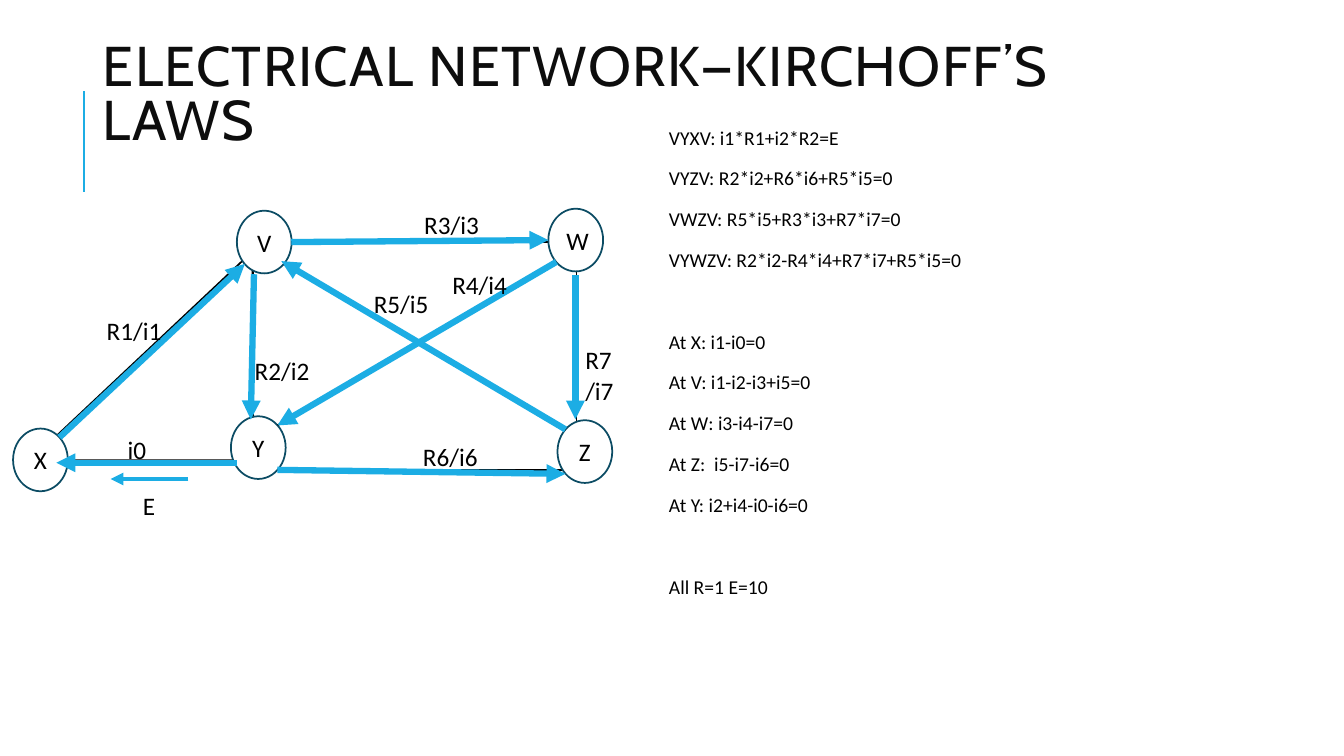
from typing import NamedTuple

from lxml.etree import SubElement
from pptx import Presentation
from pptx.dml.color import RGBColor
from pptx.enum.shapes import MSO_CONNECTOR, MSO_SHAPE
from pptx.enum.text import MSO_ANCHOR, PP_ALIGN
from pptx.oxml.ns import qn
from pptx.util import Cm, Pt

BLACK = RGBColor(0x00, 0x00, 0x00)
WHITE = RGBColor(0xFF, 0xFF, 0xFF)
TITLE_INK = RGBColor(0x0D, 0x0D, 0x0D)
ACCENT = RGBColor(0x1C, 0xAD, 0xE4)
NODE_EDGE = RGBColor(0x0C, 0x4C, 0x64)

TITLE_FONT, BODY_FONT = "Cabin", "Calibri"
NODE_W, NODE_H = 1.38, 1.58
THIN = 1.25
EQUATION_PITCH = 29.2


class Box(NamedTuple):
    """Position and size in centimetres."""
    x: float
    y: float
    w: float
    h: float = 1.02


class Node(NamedTuple):
    name: str
    x: float
    y: float


class Label(NamedTuple):
    text: str
    box: Box


class Line(NamedTuple):
    """Start and end in centimetres, width in points."""
    x1: float
    y1: float
    x2: float
    y2: float
    width: float = 4.5
    color: RGBColor = ACCENT
    arrow: bool = True


NODES = [
    Node("W", 13.82, 5.26),
    Node("Y", 5.82, 10.49),
    Node("Z", 14.05, 10.59),
    Node("X", 0.33, 10.8),
    Node("V", 5.97, 5.31),
]
DIAGONALS = [
    Line(7.14, 6.65, 14.25, 10.82, THIN, BLACK, False),
    Line(6.99, 10.72, 14.02, 6.6, THIN, BLACK, False),
]
LABELS = [
    Label("R3/i3", Box(10.44, 5.16, 2.39)),
    Label("R2/i2", Box(6.17, 8.84, 1.98)),
    Label("R1/i1", Box(2.44, 7.82, 2.24)),
    Label("R6/i6", Box(10.41, 11, 2.41)),
    Label("R7/i7", Box(14.5, 8.56, 1.37, 1.8)),
    Label("R4/i4", Box(11.15, 6.65, 2.21)),
    Label("R5/i5", Box(9.17, 7.14, 1.96)),
    Label("E", Box(3.35, 12.22, 1.27)),
    Label("i0", Box(2.97, 10.82, 1.98)),
]
CURRENTS = [
    Line(4.75, 12.07, 2.79, 12.07, 3),
    Line(7.34, 6.1, 13.82, 6.05),
    Line(14.5, 6.93, 14.5, 10.57),
    Line(6.4, 6.91, 6.32, 10.57),
    Line(6.99, 11.84, 14.25, 11.94),
    Line(14.25, 10.82, 7.09, 6.58),
    Line(14.02, 6.6, 6.99, 10.72),
    Line(5.97, 11.66, 1.42, 11.66),
    Line(1.5, 11.02, 6.17, 6.65),
]
EQUATION_GROUPS = [
    [
        "VYXV: i1*R1+i2*R2=E",
        "VYZV: R2*i2+R6*i6+R5*i5=0",
        "VWZV: R5*i5+R3*i3+R7*i7=0",
        "VYWZV: R2*i2-R4*i4+R7*i7+R5*i5=0",
    ],
    [
        "At X: i1-i0=0",
        "At V: i1-i2-i3+i5=0",
        "At W: i3-i4-i7=0",
        "At Z:  i5-i7-i6=0",
        "At Y: i2+i4-i0-i6=0",
    ],
    ["All R=1 E=10"],
]


def write(p, text: str, size: float, font: str = BODY_FONT, color: RGBColor = BLACK):
    """Fill a paragraph and return its run."""
    p.text = text
    r = p.runs[0]
    r.font.size, r.font.name = Pt(size), font
    r.font.color.rgb = color
    return r


def add_outline(slide, kind, box: Box, edge: RGBColor, filled: bool = True):
    sp = slide.shapes.add_shape(kind, *map(Cm, box))
    sp.shadow.inherit = False
    if filled:
        sp.fill.solid()
        sp.fill.fore_color.rgb = WHITE
    else:
        sp.fill.background()
    sp.line.color.rgb = edge
    sp.line.width = Pt(THIN)
    return sp


def add_node(slide, node: Node) -> None:
    sp = add_outline(slide, MSO_SHAPE.OVAL, Box(node.x, node.y, NODE_W, NODE_H), NODE_EDGE)
    tf = sp.text_frame
    tf.vertical_anchor = MSO_ANCHOR.MIDDLE
    p = tf.paragraphs[0]
    p.alignment = PP_ALIGN.CENTER
    write(p, node.name, 18)


def add_line(slide, line: Line) -> None:
    ends = map(Cm, (line.x1, line.y1, line.x2, line.y2))
    cxn = slide.shapes.add_connector(MSO_CONNECTOR.STRAIGHT, *ends)
    cxn.line.color.rgb = line.color
    cxn.line.width = Pt(line.width)
    if line.arrow:
        SubElement(cxn.line._get_or_add_ln(), qn("a:tailEnd"), type="triangle")
    SubElement(cxn._element.spPr, qn("a:effectLst"))


def add_text_frame(slide, box: Box):
    tf = slide.shapes.add_textbox(*map(Cm, box)).text_frame
    tf.word_wrap = True
    return tf


def add_label(slide, label: Label) -> None:
    write(add_text_frame(slide, label.box).paragraphs[0], label.text, 18)


def add_equations(slide) -> None:
    tf = add_text_frame(slide, Box(16.48, 3.1, 17.15, 13.54))
    tf.margin_left = Cm(0.38)
    tf.margin_top = tf.margin_right = tf.margin_bottom = Cm(0.13)
    for g, group in enumerate(EQUATION_GROUPS):
        for i, equation in enumerate(group):
            p = tf.paragraphs[0] if g == i == 0 else tf.add_paragraph()
            starts_later_group = g > 0 and i == 0
            p.space_before = Pt(12 + EQUATION_PITCH * starts_later_group)
            p.space_after = Pt(2)
            p.line_spacing = 0.9
            write(p, equation, 14)


def add_title(slide) -> None:
    tf = add_text_frame(slide, Box(2.34, 0.36, 27, 4.17))
    tf.vertical_anchor = MSO_ANCHOR.MIDDLE
    p = tf.paragraphs[0]
    p.line_spacing = 0.8
    r = write(p, "ELECTRICAL NETWORK—KIRCHOFF’S LAWS", 40, TITLE_FONT, TITLE_INK)
    r.font._element.set("spc", "100")


def main() -> None:
    prs = Presentation()
    prs.slide_width, prs.slide_height = Cm(33.87), Cm(19.05)
    slide = prs.slides.add_slide(prs.slide_layouts[6])

    add_line(slide, Line(2.11, 4.83, 2.11, 2.29, 1.5, arrow=False))
    add_outline(slide, MSO_SHAPE.RECTANGLE, Box(6.38, 6.1, 8.15, 5.74), BLACK, filled=False)
    triangle = add_outline(slide, MSO_SHAPE.RIGHT_TRIANGLE, Box(0.94, 6.17, 5.26, 5.59), BLACK)
    triangle.rotation = 270
    for node in NODES:
        add_node(slide, node)
    for line in DIAGONALS + CURRENTS:
        add_line(slide, line)
    for label in LABELS:
        add_label(slide, label)
    add_equations(slide)
    add_title(slide)
    prs.save("out.pptx")


if __name__ == "__main__":
    main()
